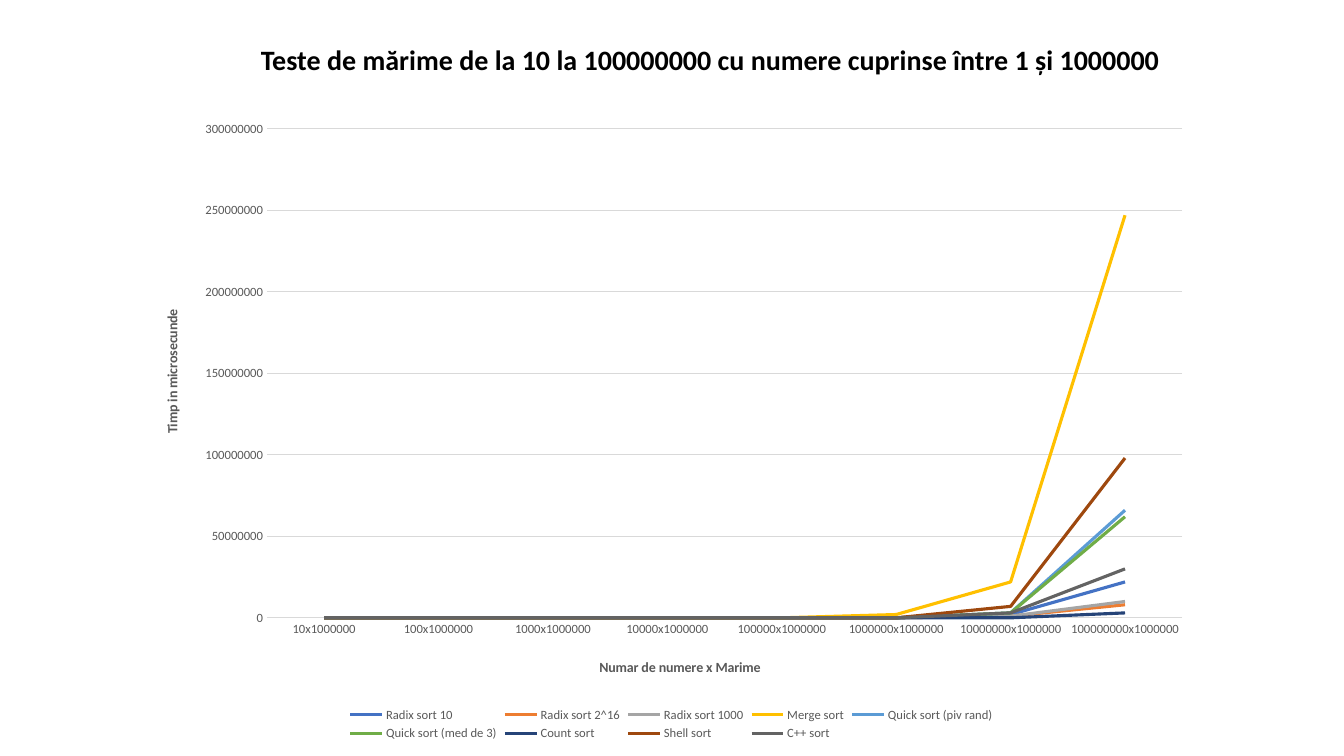
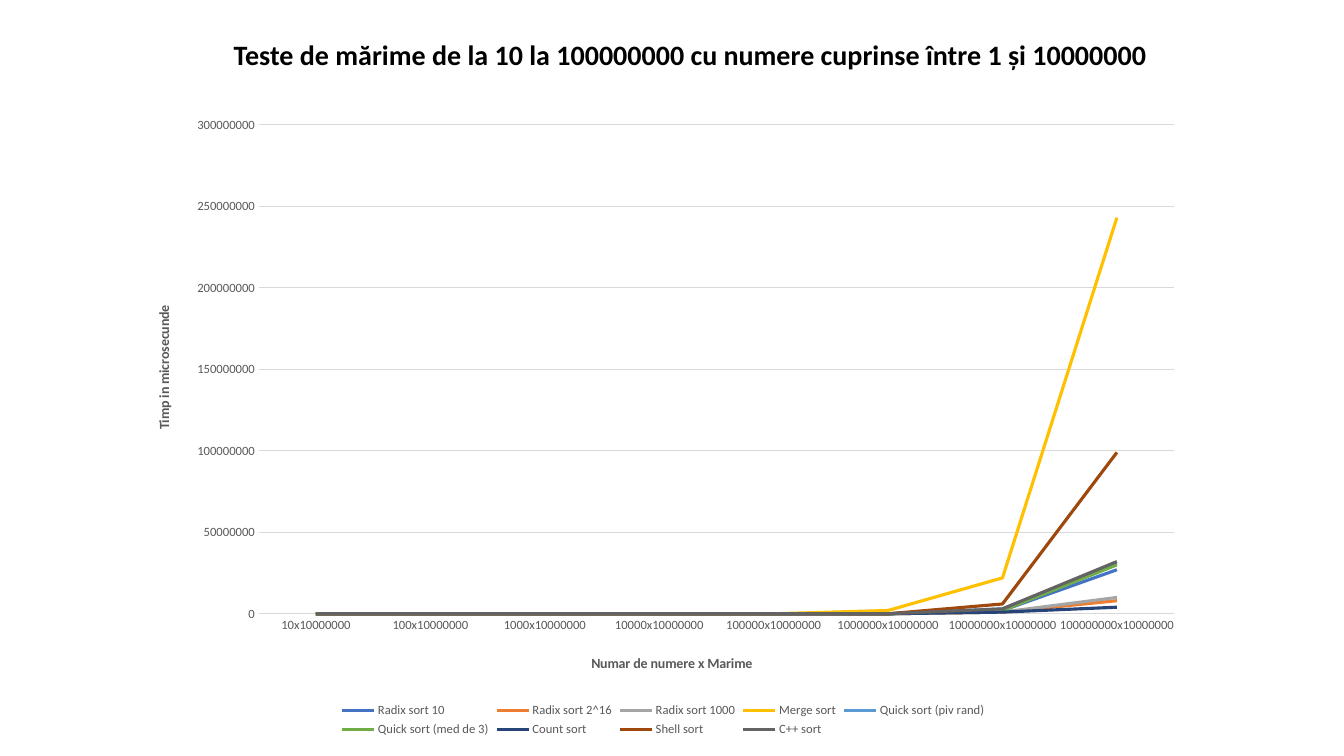
"""Build two slides that compare sorting times in line charts."""
from lxml import etree
from pptx import Presentation
from pptx.chart.data import CategoryChartData
from pptx.dml.color import RGBColor
from pptx.enum.chart import XL_CHART_TYPE, XL_LEGEND_POSITION, XL_TICK_MARK
from pptx.oxml.ns import qn
from pptx.util import Pt

LINE = XL_CHART_TYPE.LINE
BOTTOM = XL_LEGEND_POSITION.BOTTOM
NO_TICK = XL_TICK_MARK.NONE

BLACK = RGBColor(0x00, 0x00, 0x00)
GREY = RGBColor(0x59, 0x59, 0x59)
PALE = RGBColor(0xD9, 0xD9, 0xD9)
SORTS = {
    "Radix sort 10": RGBColor(0x44, 0x72, 0xC4),
    "Radix sort 2^16": RGBColor(0xED, 0x7D, 0x31),
    "Radix sort 1000": RGBColor(0xA5, 0xA5, 0xA5),
    "Merge sort": RGBColor(0xFF, 0xC0, 0x00),
    "Quick sort (piv rand)": RGBColor(0x5B, 0x9B, 0xD5),
    "Quick sort (med de 3)": RGBColor(0x70, 0xAD, 0x47),
    "Count sort": RGBColor(0x26, 0x44, 0x78),
    "Shell sort": RGBColor(0x9E, 0x48, 0x0E),
    "C++ sort": RGBColor(0x63, 0x63, 0x63),
}
FONT = "Calibri"
MILLION = 10 ** 6
SIZES = [10 ** n for n in range(1, 9)]

TESTS = [
    {"top": 10 ** 6, "title": (179.2, 26.6), "chart": (99.4, 78.5),
     "times": [(0, 2, 22), (0, 1, 8), (0, 1, 10), (2, 22, 247), (0, 3, 66),
               (0, 3, 62), (0, 0, 3), (0, 7, 98), (0, 3, 30)]},
    {"top": 10 ** 7, "title": (159.8, 23), "chart": (93.6, 75.6),
     "times": [(0, 2, 27), (0, 1, 8), (0, 1, 10), (2, 22, 243), (0, 3, 31),
               (0, 2, 30), (0, 1, 4), (0, 6, 99), (0, 3, 32)]},
]


def style(font, size, color, bold=False):
    font.name = FONT
    font.size = Pt(size)
    font.bold = bold
    font.color.rgb = color


def place(node, index, **parts):
    old = node.find(qn("c:layout"))
    if old is not None:
        node.remove(old)
    layout = etree.Element(qn("c:layout"))
    manual = etree.SubElement(layout, qn("c:manualLayout"))
    for tag, value in parts.items():
        etree.SubElement(manual, qn(f"c:{tag}")).set("val", str(value))
    node.insert(index, layout)


def add_title(slide, spot, top):
    box = slide.shapes.add_textbox(*map(Pt, spot), Pt(680), Pt(31.7))
    frame = box.text_frame
    frame.word_wrap = True
    frame.text = (f"Teste de mărime de la 10 la {SIZES[-1]} "
                  f"cu numere cuprinse între 1 și {top}")
    style(frame.paragraphs[0].runs[0].font, 20, BLACK, True)


def set_axis(axis, text, turn, x, y):
    axis.major_tick_mark = axis.minor_tick_mark = NO_TICK
    style(axis.tick_labels.font, 9, GREY)
    frame = axis.axis_title.text_frame
    frame.text = text
    style(frame.paragraphs[0].runs[0].font, 10, GREY, True)
    frame._txBody.bodyPr.set("rot", str(turn))
    place(axis.axis_title._element, 1, xMode="edge", yMode="edge", x=x, y=y)


def add_chart(slide, spot, top, times):
    data = CategoryChartData()
    data.categories = [f"{size}x{top}" for size in SIZES]
    for name, tail in zip(SORTS, times):
        data.add_series(name, [0] * 5 + [t * MILLION for t in tail])
    chart = slide.shapes.add_chart(
        LINE, *map(Pt, spot), Pt(760.3), Pt(453.6), data).chart
    chart.has_title = False
    style(chart.font, 10, BLACK)
    chart.has_legend = True
    chart.legend.position = BOTTOM
    chart.legend.include_in_layout = False
    style(chart.legend.font, 9, GREY)

    across, up = chart.category_axis, chart.value_axis
    set_axis(across, "Numar de numere x Marime", 0, 0.43, 0.86)
    set_axis(up, "Timp in microsecunde", -5400000, 0.02, 0.31)
    across.format.line.color.rgb = PALE
    across.format.line.width = Pt(0.75)
    up.minimum_scale = 0
    up.maximum_scale = 300 * MILLION
    up.major_unit = 50 * MILLION
    up.format.line.fill.background()
    grid = up.major_gridlines.format.line
    grid.color.rgb = PALE
    grid.width = Pt(0.75)

    plot = chart.plots[0]
    plot.vary_by_categories = False
    for line, color in zip(plot.series, SORTS.values()):
        line.smooth = False
        line.format.line.color.rgb = color
        line.format.line.width = Pt(2.25)
    area = chart._chartSpace.find(".//" + qn("c:plotArea"))
    place(area, 0, layoutTarget="inner", xMode="edge", yMode="edge",
          x=0.12, y=0.03, w=0.86, h=0.77)


def main():
    deck = Presentation()
    deck.slide_width, deck.slide_height = Pt(960), Pt(540)
    for test in TESTS:
        slide = deck.slides.add_slide(deck.slide_layouts[6])
        add_title(slide, test["title"], test["top"])
        add_chart(slide, test["chart"], test["top"], test["times"])
    deck.save("out.pptx")


if __name__ == "__main__":
    main()
